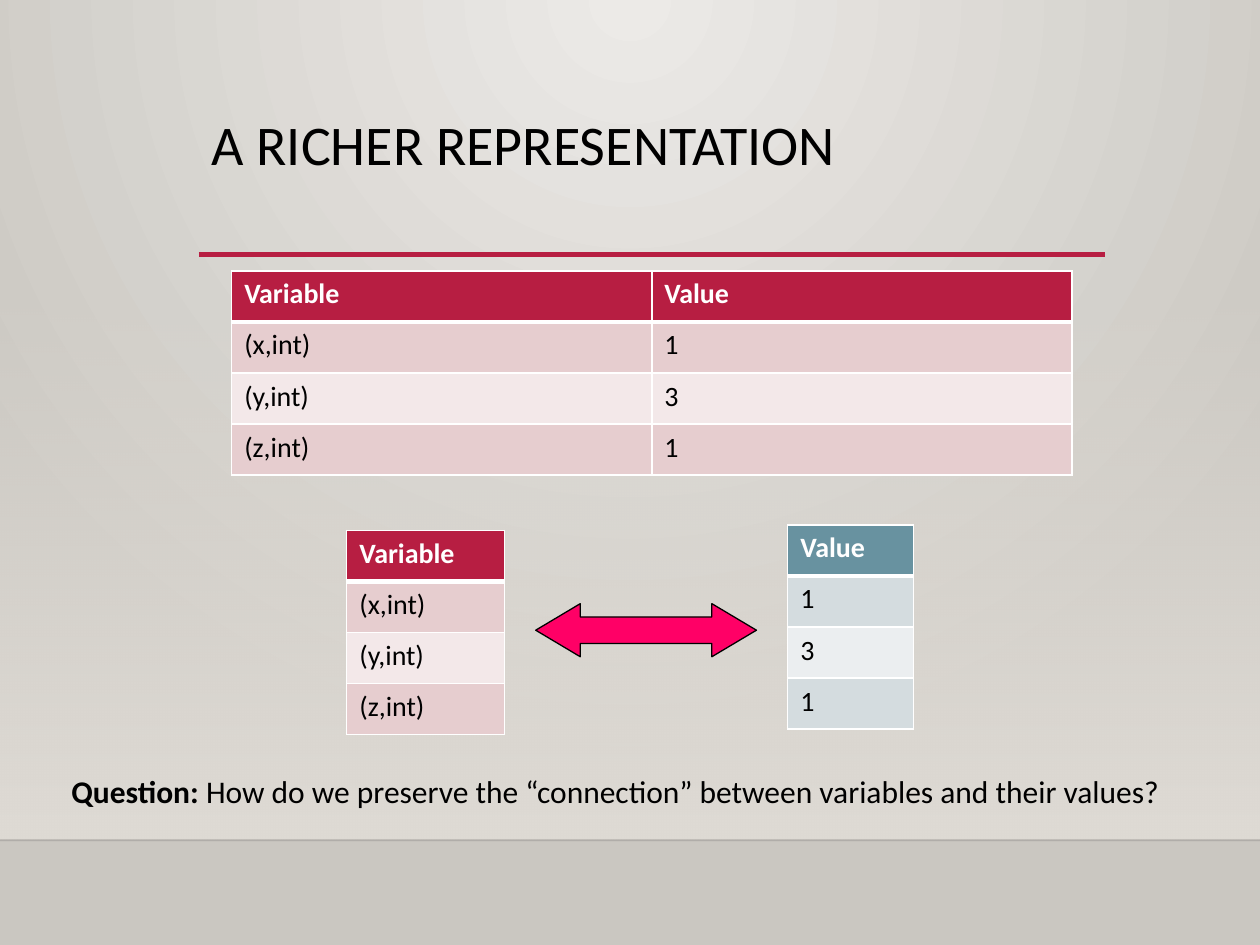
from lxml.etree import SubElement
from pptx import Presentation
from pptx.dml.color import RGBColor
from pptx.enum.shapes import MSO_CONNECTOR as Connector, MSO_SHAPE as Shape
from pptx.enum.text import MSO_ANCHOR as Anchor, MSO_AUTO_SIZE as AutoSize, PP_ALIGN as Align
from pptx.oxml import parse_xml
from pptx.oxml.ns import nsdecls, qn
from pptx.util import Cm, Pt

FONT = "Calibri"
BLACK, WHITE, RED, PINK = "000000", "FFFFFF", "B71E42", "FF0066"
RED_STYLE = (RED, "E6CDCF", "F3E8E9")
BLUE_STYLE = ("6892A0", "D4DCDF", "EBEEF0")
ROW_HEIGHT = 1.03

TITLE = "A RICHER REPRESENTATION"
QUESTION = [("Question:", True),
            (" How do we preserve the “connection” between variables and their values?", False)]
variables = ["Variable", "(x,int)", "(y,int)", "(z,int)"]
values = ["Value", "1", "3", "1"]
# left, top, column width, columns, (header, odd, even) fills
TABLES = [
    (4.67, 5.46, 8.47, [variables, values], RED_STYLE),
    (6.99, 10.69, 3.18, [variables], RED_STYLE),
    (15.88, 10.58, 2.54, [values], BLUE_STYLE),
]
# x1, x2, y, colour, width in points, opacity in percent
RULES = [
    (0, 25.4, 16.94, "000001", 1, 20),
    (4.01, 22.28, 5.13, RED, 2.5, 100),
]


def rgb(color):
    """Turn a hex string into a colour."""
    return RGBColor.from_string(color)


def set_alpha(parent, percent):
    """Set the opacity of the first colour below an element."""
    color = next(parent.iter(qn("a:srgbClr")))
    SubElement(color, qn("a:alpha"), val=str(percent * 1000))


def add_text(p, text, size=16, color=BLACK, bold=False):
    """Add a formatted run to a paragraph."""
    r = p.add_run()
    r.text = text
    r.font.name, r.font.size, r.font.bold = FONT, Pt(size), bold
    r.font.color.rgb = rgb(color)


def set_gradient(fill, colors):
    """Give a fill a gradient of two colours."""
    fill.gradient()
    for stop, color in zip(fill.gradient_stops, colors):
        stop.color.rgb = rgb(color)


def add_rule(slide, x1, x2, y, color, width, opacity):
    """Draw a horizontal line."""
    line = slide.shapes.add_connector(Connector.STRAIGHT, Cm(x1), Cm(y), Cm(x2), Cm(y))
    line.line.color.rgb = rgb(color)
    line.line.width = Pt(width)
    if opacity < 100:
        set_alpha(line.element.spPr, opacity)
    SubElement(line.element.spPr, qn("a:effectLst"))


def set_borders(cell, **widths):
    """Draw white cell borders, with widths in points by side."""
    tc_pr = cell._tc.get_or_add_tcPr()
    for i, side in enumerate("LRTB"):
        width = Pt(widths.get(side, 1))
        tc_pr.insert(i, parse_xml(
            f'<a:ln{side} {nsdecls("a")} w="{width}"><a:solidFill>'
            f'<a:srgbClr val="{WHITE}"/></a:solidFill></a:ln{side}>'))


def add_table(slide, left, top, col_width, columns, fills):
    """Add a banded table with a header row."""
    rows = list(zip(*columns))
    table = slide.shapes.add_table(
        len(rows), len(columns), Cm(left), Cm(top),
        Cm(col_width * len(columns)), Cm(ROW_HEIGHT * len(rows))).table
    header, odd, even = fills
    for i, row in enumerate(rows):
        table.rows[i].height = Cm(ROW_HEIGHT)
        is_header = i == 0
        for j, text in enumerate(row):
            cell = table.cell(i, j)
            cell.fill.solid()
            cell.fill.fore_color.rgb = rgb(header if is_header else odd if i % 2 else even)
            set_borders(cell, B=3 if is_header else 1, T=3 if i == 1 else 1)
            add_text(cell.text_frame.paragraphs[0], text,
                     color=WHITE if is_header else BLACK, bold=is_header)


prs = Presentation()
prs.slide_width, prs.slide_height = Cm(25.4), Cm(19.05)
slide = prs.slides.add_slide(prs.slide_layouts[5])

set_gradient(slide.background.fill, ("ECEAE7", "CAC7C1"))
grad = next(slide.element.iter(qn("a:gradFill")))
grad.remove(grad.find(qn("a:lin")))
circle = SubElement(grad, qn("a:path"), path="circle")
SubElement(circle, qn("a:fillToRect"), l="43000", r="43000", b="100000")

band = slide.shapes.add_shape(Shape.RECTANGLE, 0, Cm(5.59), prs.slide_width, Cm(11.35))
band.shadow.inherit = False
band.line.fill.background()
set_gradient(band.fill, ("DFDBD5", "DFDBD5"))
band.fill.gradient_angle = 270
set_alpha(band.element.spPr, 0)

for rule in RULES:
    add_rule(slide, *rule)

title = slide.shapes.title
title.left, title.top, title.width, title.height = Cm(4.01), Cm(2.24), Cm(18.26), Cm(2.92)
title.text_frame.vertical_anchor = Anchor.TOP
p = title.text_frame.paragraphs[0]
p.alignment, p.line_spacing = Align.LEFT, 0.9
add_text(p, TITLE, size=32)

arrow = slide.shapes.add_shape(Shape.LEFT_RIGHT_ARROW, Cm(10.8), Cm(12.17), Cm(4.45), Cm(1.07))
arrow.shadow.inherit = False
arrow.adjustments[0], arrow.adjustments[1] = 0.5, 0.84
arrow.fill.solid()
arrow.fill.fore_color.rgb = rgb(PINK)
arrow.line.color.rgb = rgb(BLACK)
arrow.line.width = Pt(0.75)

tf = slide.shapes.add_textbox(Cm(1.19), Cm(15.44), Cm(23.14), Cm(2.29)).text_frame
tf.word_wrap = True
tf.auto_size = AutoSize.NONE
for text, bold in QUESTION:
    add_text(tf.paragraphs[0], text, size=18, bold=bold)

for spec_row in TABLES:
    add_table(slide, *spec_row)

prs.save("out.pptx")
